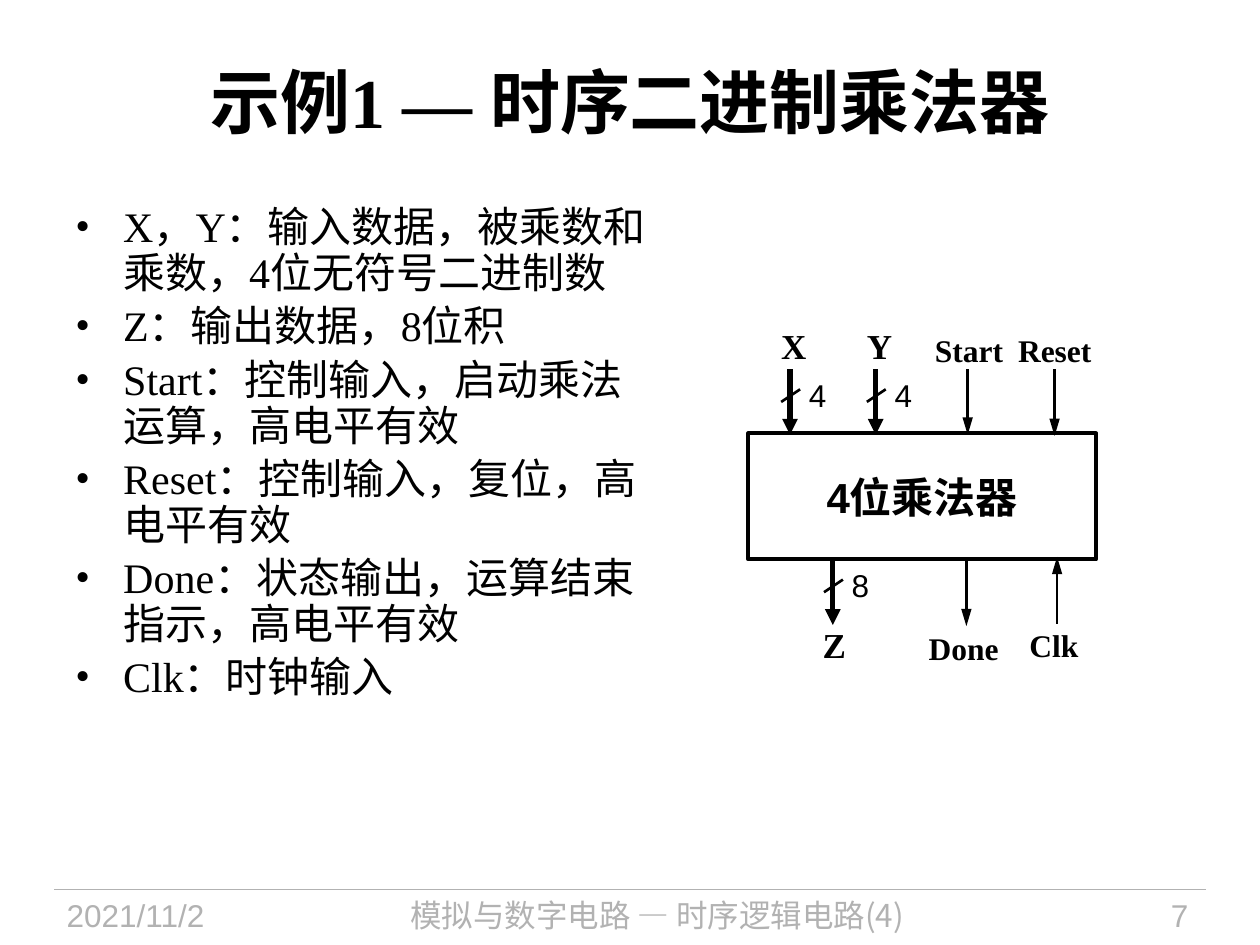
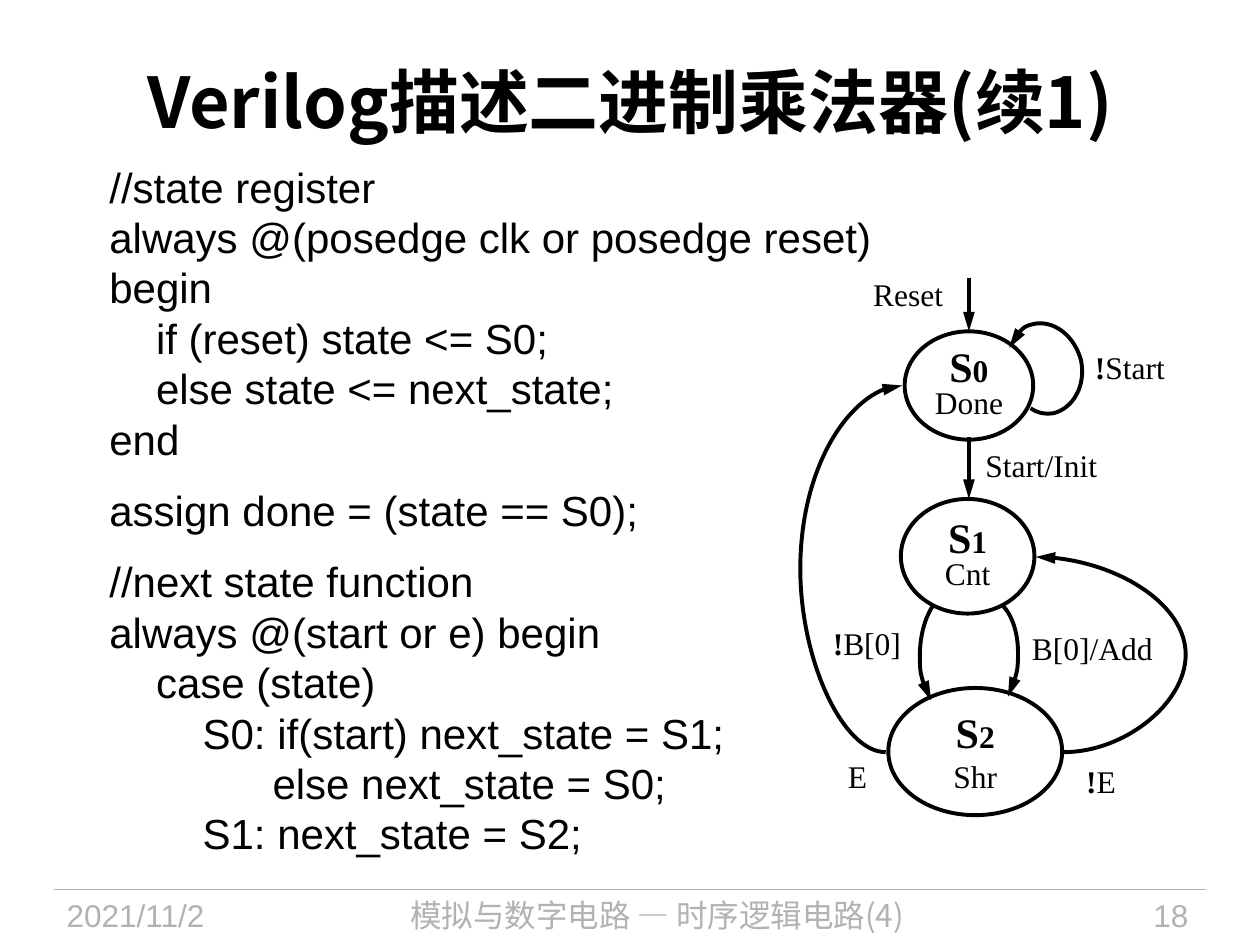
from dataclasses import dataclass
from typing import Optional

from lxml.etree import SubElement
from pptx import Presentation
from pptx.dml.color import RGBColor
from pptx.enum.shapes import MSO_CONNECTOR, MSO_SHAPE
from pptx.enum.text import MSO_ANCHOR, MSO_AUTO_SIZE, PP_ALIGN
from pptx.oxml.ns import qn
from pptx.util import Inches, Pt

COLORS = {"ink": "000000", "footer": "B2B2B2"}
SANS, SERIF, CJK = "Arial", "Times New Roman", "Noto Sans CJK SC"
LEFT, CENTER, RIGHT = PP_ALIGN.LEFT, PP_ALIGN.CENTER, PP_ALIGN.RIGHT
BULLET_INDENT = 0.38
CODE_STEP = 0.37

Point = tuple[float, float]
Box = tuple[float, float, float, float]


@dataclass(frozen=True)
class Span:
    text: str
    size: float = 18
    font: str = SERIF
    bold: bool = False
    color: str = "ink"


@dataclass(frozen=True)
class Signal:
    name: str
    label: Box
    begin: Point
    end: Point
    bits: Optional[str] = None


@dataclass(frozen=True)
class State:
    digit: str
    action: str
    box: Box
    spacing: float
    anchor: MSO_ANCHOR


@dataclass(frozen=True)
class Loop:
    begin: Point
    end: Point
    bend: float


# Slide content
TITLES = {
    7: [Span("示例1 — ", 40, SERIF, True), Span("时序二进制乘法器", 40, CJK, True)],
    18: [Span("Verilog描述二进制乘法器(续1)", 40, CJK, True)],
}
PORT_NOTES = [
    "X，Y：输入数据，被乘数和乘数，4位无符号二进制数",
    "Z：输出数据，8位积",
    "Start：控制输入，启动乘法运算，高电平有效",
    "Reset：控制输入，复位，高电平有效",
    "Done：状态输出，运算结束指示，高电平有效",
    "Clk：时钟输入",
]
SIGNALS = [
    Signal("X", (6.2, 2.61, 0.24, 0.3), (6.27, 2.93), (6.27, 3.45), "4"),
    Signal("Y", (6.88, 2.61, 0.24, 0.3), (6.95, 2.93), (6.95, 3.45), "4"),
    Signal("Z", (6.53, 4.99, 0.24, 0.3), (6.61, 4.44), (6.61, 4.96), "8"),
    Signal("Start", (7.42, 2.6, 0.62, 0.33), (7.68, 2.93), (7.68, 3.45)),
    Signal("Reset", (8.08, 2.6, 0.68, 0.33), (8.37, 2.93), (8.37, 3.46)),
    Signal("Done", (7.37, 4.96, 0.64, 0.33), (7.67, 4.44), (7.67, 4.97)),
    Signal("Clk", (8.17, 4.94, 0.45, 0.33), (8.39, 4.95), (8.39, 4.42)),
]
# Indent steps, gap before in points, text
CODE = [
    (0, 0, "//state register"),
    (0, 0, "always @(posedge clk or posedge reset)"),
    (0, 0, "begin"),
    (1, 0, "if (reset) state <= S0;"),
    (1, 0, "else state <= next_state;"),
    (0, 0, "end"),
    (0, 12, "assign done = (state == S0);"),
    (0, 12, "//next state function"),
    (0, 0, "always @(start or e) begin"),
    (1, 0, "case (state)"),
    (2, 0, "S0: if(start) next_state = S1;"),
    (3.5, 0, "else next_state = S0;"),
    (2, 0, "S1: next_state = S2;"),
]
STATES = [
    State("0", "Done", (7.18, 2.63, 1.02, 0.86), 0.8, MSO_ANCHOR.MIDDLE),
    State("1", "Cnt", (7.15, 3.96, 1.06, 0.91), 0.8, MSO_ANCHOR.MIDDLE),
    State("2", "Shr", (7.05, 5.46, 1.38, 1.01), 1.0, MSO_ANCHOR.TOP),
]
STATE_ARROWS = [((7.69, 2.21), (7.69, 2.63)), ((7.69, 3.47), (7.69, 3.96))]
# Start point, then two control points and an end point for each curve
ARCS = [
    [(8.18, 3.24), (8.24, 3.28), (8.3, 3.29), (8.36, 3.28), (8.52, 3.24),
     (8.62, 3.06), (8.58, 2.86), (8.53, 2.67), (8.37, 2.54), (8.21, 2.57),
     (8.12, 2.59), (8.05, 2.66), (8.01, 2.76)],
    [(7.41, 4.8), (7.34, 4.9), (7.3, 5.05), (7.3, 5.21),
     (7.3, 5.34), (7.33, 5.46), (7.39, 5.56)],
    [(7.95, 4.8), (8.03, 4.87), (8.08, 5.02), (8.08, 5.18),
     (8.08, 5.32), (8.05, 5.44), (8, 5.53)],
]
LOOPS = [Loop((8.44, 5.97), (8.22, 4.42), -4.41), Loop((7.03, 5.97), (7.16, 3.06), -5.22)]
CONDITIONS = [
    ("", "Start/Init", (7.82, 3.54, 0.98, 0.33)),
    ("", "Reset", (6.93, 2.18, 0.62, 0.33)),
    ("", "B[0]/Add", (8.19, 4.99, 1.06, 0.33)),
    ("!", "B[0]", (6.61, 4.95, 0.6, 0.33)),
    ("!", "Start", (8.69, 2.76, 0.62, 0.33)),
    ("", "E", (6.73, 6.01, 0.2, 0.33)),
    ("!", "E", (8.62, 6.05, 0.28, 0.33)),
]


# Text helpers
def write(para, spans: list[Span], **formats) -> None:
    for name, value in formats.items():
        setattr(para, name, value)
    for span in spans:
        run = para.add_run()
        run.text = span.text
        values = {"size": Pt(span.size), "bold": span.bold, "name": span.font}
        for name, value in values.items():
            setattr(run.font, name, value)
        run.font.color.rgb = RGBColor.from_string(COLORS[span.color])
        SubElement(run.font._element, qn("a:ea")).set("typeface", CJK)


def set_frame(frame, inset: Optional[float] = None, **formats) -> None:
    if inset is not None:
        for side in ("left", "top", "right", "bottom"):
            setattr(frame, f"margin_{side}", Inches(inset))
    for name, value in formats.items():
        setattr(frame, name, value)


def next_para(frame, index: int):
    return frame.add_paragraph() if index else frame.paragraphs[0]


def add_text(slide, box: Box, spans: list[Span], **formats) -> None:
    frame = slide.shapes.add_textbox(*map(Inches, box)).text_frame
    set_frame(frame, word_wrap=True)
    write(frame.paragraphs[0], spans, **formats)


def add_label(slide, box: Box, spans: list[Span], **formats) -> None:
    frame = slide.shapes.add_textbox(*map(Inches, box)).text_frame
    set_frame(frame, 0, word_wrap=False, auto_size=MSO_AUTO_SIZE.SHAPE_TO_FIT_TEXT)
    write(frame.paragraphs[0], spans, **formats)


def set_indent(para, left: float, first: float = 0):
    properties = para._p.get_or_add_pPr()
    properties.set("marL", str(Inches(left)))
    properties.set("indent", str(Inches(first)))
    return properties


# Drawing helpers
def set_line(shape, width: float, color: str = "ink", arrow: bool = False) -> None:
    shape.line.width = Pt(width)
    shape.line.color.rgb = RGBColor.from_string(COLORS[color])
    if arrow:
        line = shape._element.spPr.find(qn("a:ln"))
        head = SubElement(line, qn("a:tailEnd"))
        head.set("type", "triangle")
        head.set("len", "lg" if width < 3 else "med")


def add_line(slide, begin: Point, end: Point, width: float, color: str = "ink",
             arrow: bool = False, kind=MSO_CONNECTOR.STRAIGHT):
    connector = slide.shapes.add_connector(kind, *map(Inches, begin + end))
    set_line(connector, width, color, arrow)
    SubElement(connector._element.spPr, qn("a:effectLst"))
    return connector


def add_outline(slide, kind, box: Box):
    shape = slide.shapes.add_shape(kind, *map(Inches, box))
    shape.shadow.inherit = False
    shape.fill.background()
    set_line(shape, 2.25)
    return shape


def add_arc(slide, points: list[Point]) -> None:
    start, *rest = [(Inches(x), Inches(y)) for x, y in points]
    builder = slide.shapes.build_freeform(*start)
    builder.add_line_segments(rest, close=False)
    shape = builder.convert_to_shape()
    shape.shadow.inherit = False
    shape.fill.background()
    set_line(shape, 2.25, arrow=True)
    # Merge every three line steps into one Bezier curve
    path = next(shape._element.iter(qn("a:path")))
    steps = path.findall(qn("a:lnTo"))
    for curve, second, last in zip(steps[::3], steps[1::3], steps[2::3]):
        curve.tag = qn("a:cubicBezTo")
        for step in (second, last):
            curve.append(step[0])
            path.remove(step)


def add_loop(slide, loop: Loop) -> None:
    connector = add_line(slide, loop.begin, loop.end, 2.25, arrow=True,
                         kind=MSO_CONNECTOR.CURVE)
    guide = SubElement(next(connector._element.iter(qn("a:avLst"))), qn("a:gd"))
    guide.set("name", "adj1")
    guide.set("fmla", f"val {round(loop.bend * 100000)}")


def add_signal(slide, signal: Signal) -> None:
    wide = signal.bits is not None
    add_line(slide, signal.begin, signal.end, 3 if wide else 1.5, arrow=True)
    add_label(slide, signal.label, [Span(signal.name, 20 if wide else 18, bold=True)],
              line_spacing=0.9 if wide else 1.1)
    if wide:
        x, y = signal.begin
        add_line(slide, (x + 0.08, y + 0.16), (x - 0.07, y + 0.26), 1.5)
        add_label(slide, (x + 0.15, y + 0.09, 0.18, 0.27),
                  [Span(signal.bits, font=SANS)], line_spacing=0.9)


def add_state(slide, state: State) -> None:
    frame = add_outline(slide, MSO_SHAPE.OVAL, state.box).text_frame
    set_frame(frame, 0, word_wrap=False, vertical_anchor=state.anchor)
    rows = [[Span("S", 24, bold=True), Span(state.digit, bold=True)], [Span(state.action)]]
    for index, spans in enumerate(rows):
        write(next_para(frame, index), spans, alignment=CENTER, line_spacing=state.spacing)


# Shared title and footer
def add_page(deck, number: int):
    slide = deck.slides.add_slide(deck.slide_layouts[5])
    title = slide.shapes.title
    place = zip(("left", "top", "width", "height"), (0.5, 0.17, 9, 1.25))
    for name, value in place:
        setattr(title, name, Inches(value))
    set_frame(title.text_frame, vertical_anchor=MSO_ANCHOR.MIDDLE, word_wrap=True,
              auto_size=MSO_AUTO_SIZE.NONE)
    write(title.text_frame.paragraphs[0], TITLES[number], alignment=CENTER)
    add_line(slide, (0.43, 7.06), (9.57, 7.06), 0.75, "footer")
    footers = [
        (0.43, 1.88, LEFT, SANS, "2021/11/2"),
        (2.4, 5.63, CENTER, CJK, "模拟与数字电路 — 时序逻辑电路(4)"),
        (8.2, 1.33, RIGHT, SANS, str(number)),
    ]
    for left, width, alignment, font, text in footers:
        add_text(slide, (left, 7.06, width, 0.44),
                 [Span(text, font=font, color="footer")], alignment=alignment)
    return slide


def build_multiplier(deck) -> None:
    slide = add_page(deck, 7)
    # Port list
    frame = slide.shapes.add_textbox(*map(Inches, (0.5, 1.59, 4.86, 5.39))).text_frame
    set_frame(frame, word_wrap=True)
    for index, note in enumerate(PORT_NOTES):
        para = next_para(frame, index)
        write(para, [Span(note, 24)], line_spacing=0.9, space_after=Pt(4.8))
        properties = set_indent(para, BULLET_INDENT, -BULLET_INDENT)
        SubElement(properties, qn("a:buFont")).set("typeface", SERIF)
        SubElement(properties, qn("a:buChar")).set("char", "•")
    # Block diagram
    block = add_outline(slide, MSO_SHAPE.RECTANGLE, (5.94, 3.44, 2.76, 1)).text_frame
    set_frame(block, word_wrap=False, vertical_anchor=MSO_ANCHOR.MIDDLE)
    write(block.paragraphs[0], [Span("4位乘法器", 24, SANS, True)], alignment=CENTER)
    for signal in SIGNALS:
        add_signal(slide, signal)


def build_verilog(deck) -> None:
    slide = add_page(deck, 18)
    # Code listing
    frame = slide.shapes.add_textbox(*map(Inches, (0.39, 1.23, 9, 5.83))).text_frame
    set_frame(frame, word_wrap=True)
    for index, (steps, gap, text) in enumerate(CODE):
        para = next_para(frame, index)
        write(para, [Span(text, 24, SANS)], line_spacing=Pt(28.8), space_before=Pt(gap))
        set_indent(para, BULLET_INDENT + steps * CODE_STEP)
    # State diagram
    for state in STATES:
        add_state(slide, state)
    for begin, end in STATE_ARROWS:
        add_line(slide, begin, end, 2.25, arrow=True)
    for points in ARCS:
        add_arc(slide, points)
    for loop in LOOPS:
        add_loop(slide, loop)
    for mark, text, box in CONDITIONS:
        negation = [Span(mark, bold=True)] if mark else []
        add_label(slide, box, negation + [Span(text)])


def main() -> None:
    deck = Presentation()
    deck.slide_width, deck.slide_height = Inches(10), Inches(7.5)
    build_multiplier(deck)
    build_verilog(deck)
    deck.save("out.pptx")


if __name__ == "__main__":
    main()
